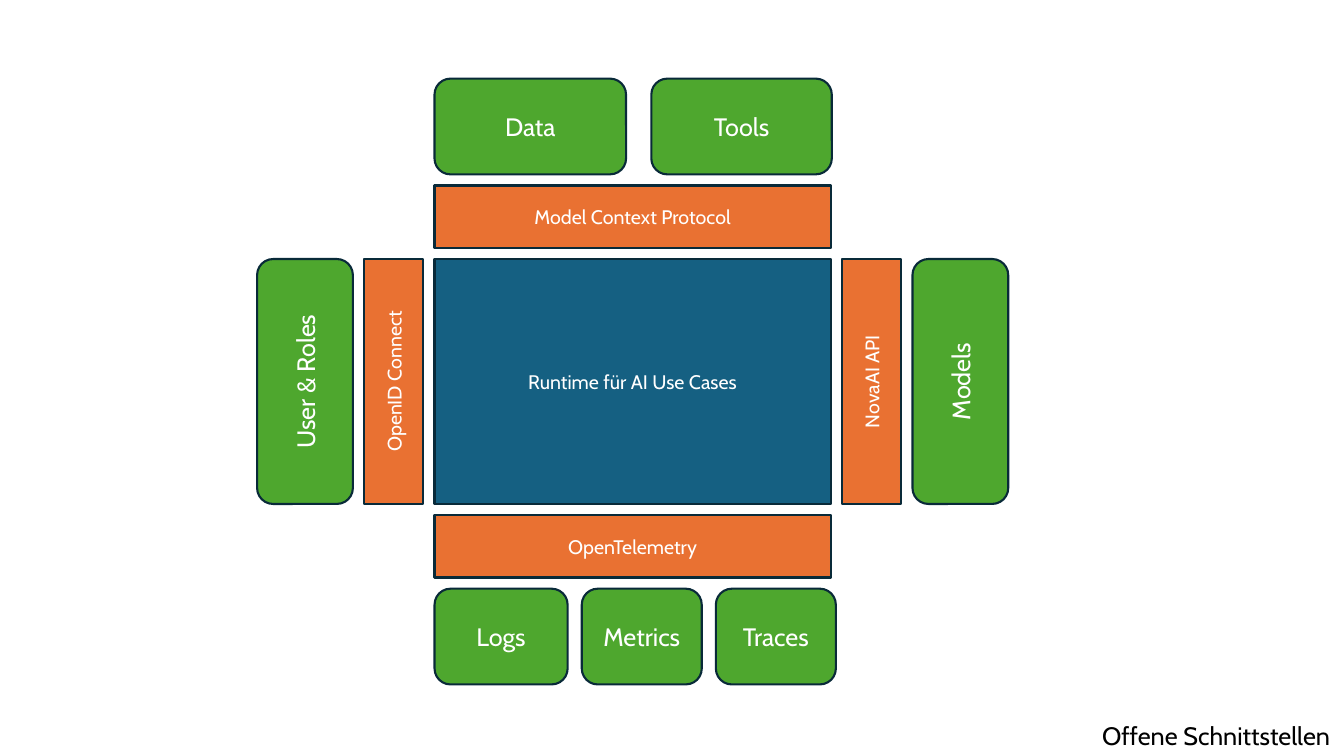
from collections import namedtuple

from pptx import Presentation
from pptx.dml.color import RGBColor
from pptx.enum.shapes import MSO_SHAPE
from pptx.enum.text import MSO_ANCHOR, PP_ALIGN
from pptx.util import Inches, Pt

COLS, ROWS = 1333, 750
CELL = Inches(0.01)
GAP = 11
DEEP = 95

Box = namedtuple("Box", "left top width height")
Look = namedtuple("Look", "form fill size")

THEME = {
    "font": "Cabin",
    "line": "092A39",
    "light": "FFFFFF",
    "dark": "000000",
    "title": 18,
    "core": Look(MSO_SHAPE.RECTANGLE, "156082", 14),
    "bar": Look(MSO_SHAPE.RECTANGLE, "E97132", 14),
    "card": Look(MSO_SHAPE.ROUNDED_RECTANGLE, "4EA72E", 18),
}


def cells(box):
    """Turn a box in grid cells into slide lengths."""
    return [value * CELL for value in box]


def apply(item, values):
    """Set each named value on the item."""
    for name, value in values.items():
        setattr(item, name, value)


def write(frame, text, size, color, align):
    """Put one styled paragraph in a text frame."""
    frame.text = text
    para = frame.paragraphs[0]
    para.alignment = align
    font = para.runs[0].font
    apply(font, {"name": THEME["font"], "size": Pt(size), "bold": False})
    font.color.rgb = RGBColor.from_string(color)


def block(slide, box, text, look, turn=False):
    """Draw a labelled block, with its text turned upward if asked."""
    shape = slide.shapes.add_shape(look.form, *cells(box))
    shape.shadow.inherit = False
    shape.fill.solid()
    shape.fill.fore_color.rgb = RGBColor.from_string(look.fill)
    shape.line.color.rgb = RGBColor.from_string(THEME["line"])
    shape.line.width = Pt(1.5)
    frame = shape.text_frame
    apply(frame, {"word_wrap": True, "vertical_anchor": MSO_ANCHOR.MIDDLE})
    write(frame, text, look.size, THEME["light"], PP_ALIGN.CENTER)
    if turn:
        frame._txBody.bodyPr.set("vert", "vert270")


def level(slide, core, label, cards, gap, above):
    """Place a flat bar and a row of cards above or below the core."""
    thick = 62
    if above:
        top = core.top - GAP - thick
        row = top - GAP - DEEP
    else:
        top = core.top + core.height + GAP
        row = top + thick + GAP
    block(slide, Box(core.left, top, core.width, thick), label, THEME["bar"])
    left = core.left
    for text, width in cards:
        block(slide, Box(left, row, width, DEEP), text, THEME["card"])
        left += width + gap


def flank(slide, core, label, card, before):
    """Place an upright bar and card to the left or right of the core."""
    thick = 59
    if before:
        left = core.left - GAP - thick
        edge = left - GAP - DEEP
    else:
        left = core.left + core.width + GAP
        edge = left + thick + GAP
    for side, width, text, kind in (
        (left, thick, label, "bar"),
        (edge, DEEP, card, "card"),
    ):
        box = Box(side, core.top, width, core.height)
        block(slide, box, text, THEME[kind], turn=True)


def heading(slide, box, text):
    """Move the title placeholder into the box and style it."""
    title = slide.shapes.title
    apply(title, dict(zip(Box._fields, cells(box))))
    frame = title.text_frame
    apply(frame, {"word_wrap": False, "vertical_anchor": MSO_ANCHOR.TOP})
    write(frame, text, THEME["title"], THEME["dark"], PP_ALIGN.LEFT)
    frame.paragraphs[0].line_spacing = 1.0


def main():
    """Build the slide of open interfaces and save it."""
    deck = Presentation()
    apply(deck, {"slide_width": COLS * CELL, "slide_height": ROWS * CELL})
    slide = deck.slides.add_slide(deck.slide_layouts[5])
    core = Box(431, 257, 393, 243)
    heading(slide, Box(COLS - 250, ROWS - 40, 250, 40), "Offene Schnittstellen")
    block(slide, core, "Runtime für AI Use Cases", THEME["core"])
    data = [("Data", 190), ("Tools", 179)]
    level(slide, core, "Model Context Protocol", data, 25, True)
    signals = [("Logs", 132), ("Metrics", 119), ("Traces", 119)]
    level(slide, core, "OpenTelemetry", signals, 14, False)
    flank(slide, core, "OpenID Connect", "User & Roles", True)
    flank(slide, core, "NovaAI API", "Models", False)
    deck.save("out.pptx")


if __name__ == "__main__":
    main()
